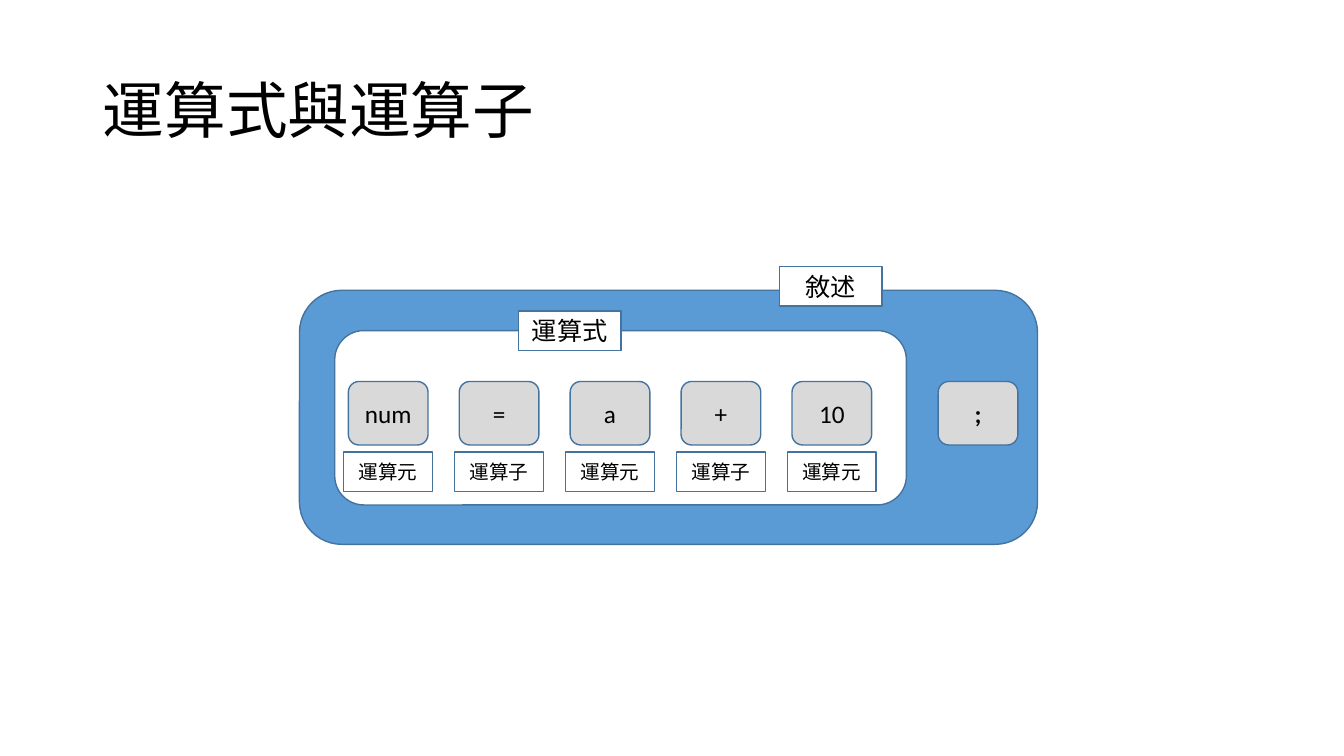
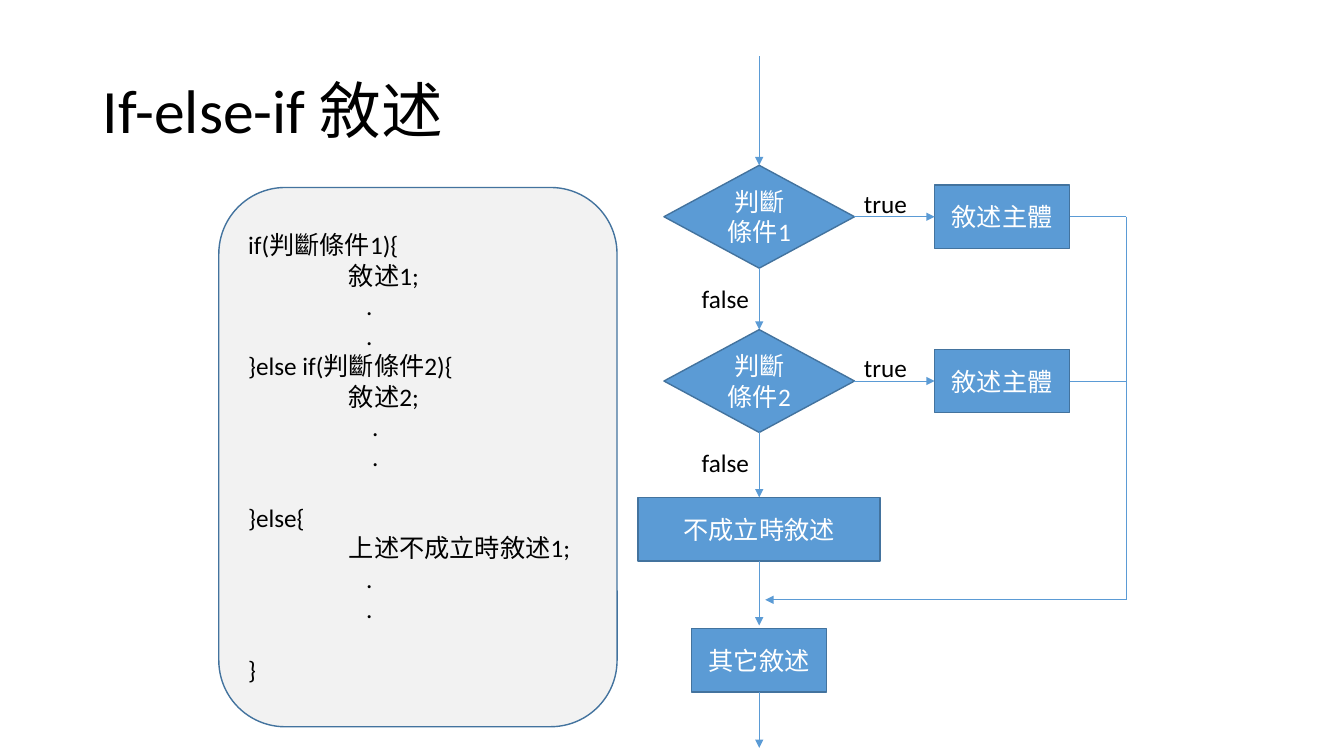
from lxml import etree
from pptx import Presentation
from pptx.dml.color import RGBColor
from pptx.enum.shapes import MSO_CONNECTOR, MSO_SHAPE
from pptx.enum.text import MSO_ANCHOR, MSO_AUTO_SIZE, PP_ALIGN
from pptx.oxml.ns import qn
from pptx.util import Inches, Pt

# Shared style
COLORS = {
    "blue": "5B9BD5", "outline": "43739E", "black": "000000", "white": "FFFFFF",
    "token": "D9D9D9", "panel": "F2F2F2",
}
FONT = "Calibri"
TITLE_BOX = (0.92, 0.4, 11.5, 1.45)

# Slide 1 content: token and its role
EXPRESSION_TITLE = "運算式與運算子"
TOKENS = [("num", "運算元"), ("=", "運算子"), ("a", "運算元"), ("+", "運算子"), ("10", "運算元")]
TOKEN_SIZE = (0.79, 0.63)
ROLE_SIZE = (0.88, 0.39)
TAG_SIZE = (1.02, 0.39)
FIRST_TOKEN_X, TOKEN_STEP, TOKEN_Y, ROLE_Y = 3.85, 1.1, 4.1, 4.68

# Slide 2 content: code line, indent in inches, points of space after
BRANCH_TITLE = "If-else-if 敘述"
LINE_GAP = 22
CODE = [
    ("if(判斷條件1){", 0, 0),
    ("敘述1;", 1, 0),
    (".", 1.17, 0),
    (".", 1.17, 0),
    ("}else if(判斷條件2){", 0, 0),
    ("敘述2;", 1, 0),
    (".", 1.23, 0),
    (".", 1.23, LINE_GAP),
    ("}else{", 0, 0),
    ("上述不成立時敘述1;", 1, 0),
    (".", 1.17, 0),
    (".", 1.17, LINE_GAP),
    ("}", 0, 0),
]
CONDITIONS = ["判斷條件1", "判斷條件2"]
BODY_TEXT = "敘述主體"
AXIS_X, BODY_X, RETURN_X = 7.53, 9.94, 11.17
FIRST_BRANCH_Y, BRANCH_STEP = 2.15, 1.63
ELSE_Y, MERGE_Y, REST_Y = 5.25, 5.95, 6.55
DIAMOND_SIZE = (1.89, 1.02)
BODY_SIZE = (1.34, 0.63)
ELSE_SIZE = (2.4, 0.63)


def rgb(name):
    return RGBColor.from_string(COLORS[name])


def write(paragraph, text, size=18, color="black", bold=False, align=PP_ALIGN.LEFT):
    paragraph.alignment = align
    run = paragraph.add_run()
    run.text = text
    run.font.name = FONT
    run.font.size = Pt(size)
    run.font.bold = bold
    run.font.color.rgb = rgb(color)


def add_titled_slide(presentation, text):
    slide = presentation.slides.add_slide(presentation.slide_layouts[5])
    title = slide.shapes.title
    title.left, title.top, title.width, title.height = map(Inches, TITLE_BOX)
    frame = title.text_frame
    frame.auto_size = MSO_AUTO_SIZE.NONE
    frame.vertical_anchor = MSO_ANCHOR.MIDDLE
    frame.paragraphs[0].line_spacing = 0.9
    write(frame.paragraphs[0], text, size=44)
    return slide


def add_box(slide, kind, left, top, width, height, fill):
    shape = slide.shapes.add_shape(kind, *map(Inches, (left, top, width, height)))
    shape.shadow.inherit = False
    shape.fill.solid()
    shape.fill.fore_color.rgb = rgb(fill)
    shape.line.color.rgb = rgb("outline")
    shape.line.width = Pt(1)
    shape.text_frame.word_wrap = True
    shape.text_frame.vertical_anchor = MSO_ANCHOR.MIDDLE
    return shape


def add_node(slide, kind, center, box_size, text, fill="blue", **text_format):
    (x, y), (width, height) = center, box_size
    shape = add_box(slide, kind, x - width / 2, y - height / 2, width, height, fill)
    write(shape.text_frame.paragraphs[0], text, align=PP_ALIGN.CENTER, **text_format)


def add_line(slide, start, end, arrow=True):
    connector = slide.shapes.add_connector(
        MSO_CONNECTOR.STRAIGHT, *map(Inches, (*start, *end)))
    connector.line.color.rgb = rgb("blue")
    connector.line.width = Pt(0.5)
    properties = connector._element.spPr
    if arrow:
        etree.SubElement(properties.find(qn("a:ln")), qn("a:tailEnd"), type="triangle")
    etree.SubElement(properties, qn("a:effectLst"))


def add_label(slide, left, top, width, text):
    box = slide.shapes.add_textbox(*map(Inches, (left, top, width, 0.4)))
    box.text_frame.word_wrap = False
    box.text_frame.auto_size = MSO_AUTO_SIZE.SHAPE_TO_FIT_TEXT
    write(box.text_frame.paragraphs[0], text)


def build_expression_slide(presentation):
    slide = add_titled_slide(presentation, EXPRESSION_TITLE)
    rounded, rectangle = MSO_SHAPE.ROUNDED_RECTANGLE, MSO_SHAPE.RECTANGLE

    # Statement frame around the expression frame
    add_box(slide, rounded, 2.97, 2.88, 7.32, 2.52, "blue")
    add_node(slide, rectangle, (8.24, 2.84), TAG_SIZE, "敘述", fill="white")
    add_box(slide, rounded, 3.32, 3.28, 5.67, 1.73, "white")
    add_node(slide, rectangle, (5.65, 3.28), TAG_SIZE, "運算式", fill="white")

    # Tokens with their roles
    for index, (token, role) in enumerate(TOKENS):
        x = FIRST_TOKEN_X + index * TOKEN_STEP
        add_node(slide, rounded, (x, TOKEN_Y), TOKEN_SIZE, token, fill="token")
        add_node(slide, rectangle, (x, ROLE_Y), ROLE_SIZE, role, fill="white", size=14)
    add_node(slide, rounded, (9.7, TOKEN_Y), TOKEN_SIZE, ";", fill="token", bold=True)


def build_branch_slide(presentation):
    slide = add_titled_slide(presentation, BRANCH_TITLE)
    rectangle = MSO_SHAPE.RECTANGLE

    # Code panel
    panel = add_box(slide, MSO_SHAPE.ROUNDED_RECTANGLE, 2.17, 1.86, 3.95, 5.35, "panel")
    frame = panel.text_frame
    for index, (text, indent, gap) in enumerate(CODE):
        paragraph = frame.add_paragraph() if index else frame.paragraphs[0]
        write(paragraph, text)
        paragraph.space_after = Pt(gap)
        properties = paragraph._p.get_or_add_pPr()
        properties.set("marL", str(Inches(indent)))
        properties.set("indent", "0")

    # Conditions, each with a true branch and a false exit
    half_width, half_height = (length / 2 for length in DIAMOND_SIZE)
    half_body, half_box = (length / 2 for length in BODY_SIZE)
    add_line(slide, (AXIS_X, 0.56), (AXIS_X, FIRST_BRANCH_Y - half_height))
    for index, condition in enumerate(CONDITIONS):
        y = FIRST_BRANCH_Y + index * BRANCH_STEP
        is_last = index == len(CONDITIONS) - 1
        next_top = ELSE_Y - half_box if is_last else y + BRANCH_STEP - half_height
        add_node(slide, MSO_SHAPE.FLOWCHART_DECISION, (AXIS_X, y), DIAMOND_SIZE,
                 condition, color="white")
        add_node(slide, rectangle, (BODY_X, y), BODY_SIZE, BODY_TEXT, color="white")
        add_line(slide, (AXIS_X + half_width, y), (BODY_X - half_body, y))
        add_line(slide, (AXIS_X, y + half_height), (AXIS_X, next_top))
        add_line(slide, (BODY_X + half_body, y), (RETURN_X, y), arrow=False)
        add_label(slide, 8.47, y - 0.33, 0.64, "true")
        add_label(slide, 6.86, y + 0.61, 0.68, "false")

    # Else branch, merge and the rest of the flow
    add_node(slide, rectangle, (AXIS_X, ELSE_Y), ELSE_SIZE, "不成立時敘述", color="white")
    add_node(slide, rectangle, (AXIS_X, REST_Y), BODY_SIZE, "其它敘述", color="white")
    add_line(slide, (AXIS_X, ELSE_Y + half_box), (AXIS_X, REST_Y - half_box - 0.03))
    add_line(slide, (AXIS_X, REST_Y + half_box), (AXIS_X, 7.42))
    add_line(slide, (RETURN_X, FIRST_BRANCH_Y), (RETURN_X, MERGE_Y), arrow=False)
    add_line(slide, (RETURN_X, MERGE_Y), (AXIS_X + 0.06, MERGE_Y))


def main():
    presentation = Presentation()
    presentation.slide_width = Inches(13.33)
    presentation.slide_height = Inches(7.5)
    build_expression_slide(presentation)
    build_branch_slide(presentation)
    presentation.save("out.pptx")


if __name__ == "__main__":
    main()
